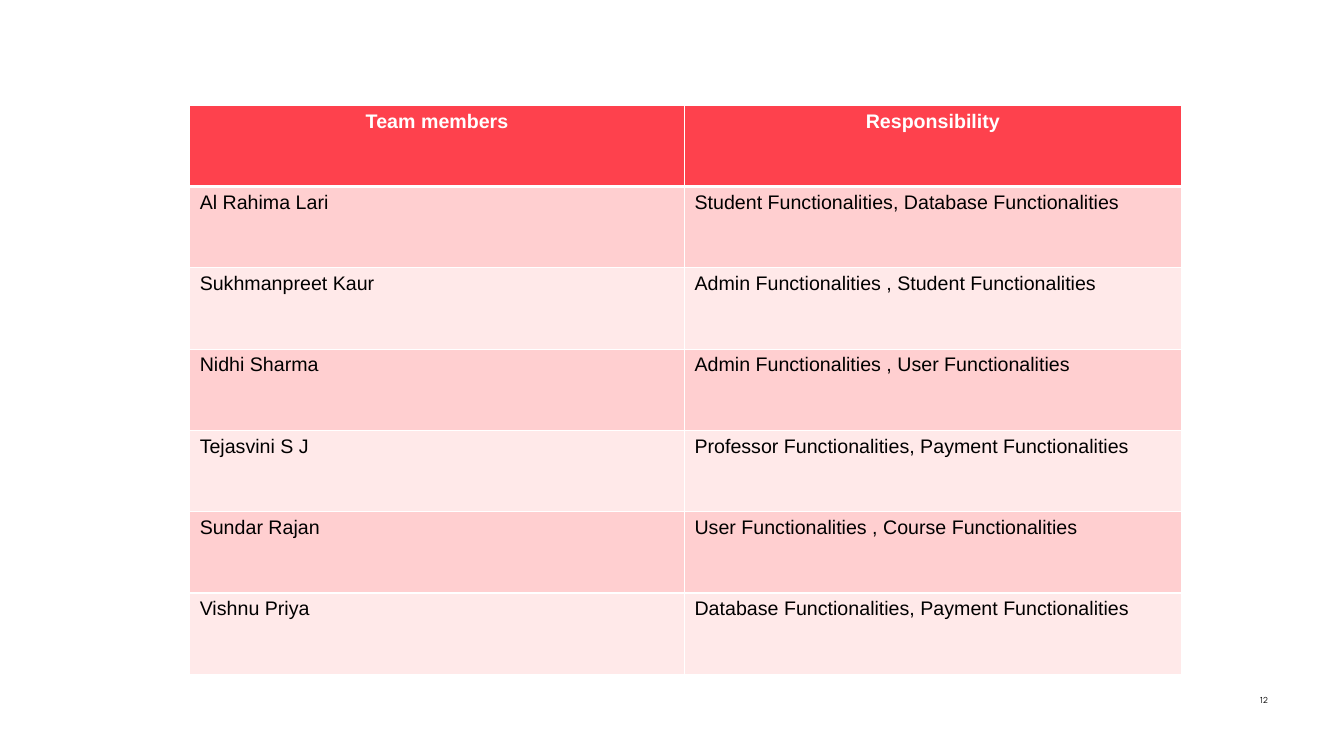
from dataclasses import dataclass

from lxml import etree
from pptx import Presentation
from pptx.dml.color import RGBColor
from pptx.enum.text import MSO_ANCHOR, PP_ALIGN
from pptx.oxml.ns import qn
from pptx.util import Cm, Pt

CENTER, LEFT, RIGHT = PP_ALIGN.CENTER, PP_ALIGN.LEFT, PP_ALIGN.RIGHT
MIDDLE = MSO_ANCHOR.MIDDLE
BLANK_LAYOUT = 6

WHITE, BLACK = "FFFFFF", "000000"
HEADER_RED = "FE414D"
BAND_FILLS = ("FFCFD0", "FFE9E9")
THIN, THICK = 1, 3

TABLE_LEFT, TABLE_TOP = Cm(4.78), Cm(2.65)
COLUMN_WIDTHS = (Cm(12.47), Cm(12.52))
ROW_HEIGHT = Cm(2.05)


@dataclass(frozen=True)
class Assignment:
    member: str
    responsibility: str


@dataclass(frozen=True)
class RowStyle:
    fill: str
    text_color: str
    bold: bool
    alignment: PP_ALIGN
    top_border: int = THIN
    bottom_border: int = THIN


HEADINGS = Assignment("Team members", "Responsibility")
ASSIGNMENTS = (
    Assignment("Al Rahima Lari", "Student Functionalities, Database Functionalities"),
    Assignment("Sukhmanpreet Kaur", "Admin Functionalities , Student Functionalities"),
    Assignment("Nidhi Sharma", "Admin Functionalities , User Functionalities"),
    Assignment("Tejasvini S J", "Professor Functionalities, Payment Functionalities"),
    Assignment("Sundar Rajan", "User Functionalities , Course Functionalities"),
    Assignment("Vishnu Priya", "Database Functionalities, Payment Functionalities"),
)


def rgb(color: str) -> RGBColor:
    return RGBColor.from_string(color)


def write_text(text_frame, text: str, alignment: PP_ALIGN, color: str, **font_format) -> None:
    paragraph = text_frame.paragraphs[0]
    paragraph.alignment = alignment
    run = paragraph.add_run()
    run.text = text
    run.font.color.rgb = rgb(color)
    for name, value in font_format.items():
        setattr(run.font, name, value)


def add_borders(cell, style: RowStyle) -> None:
    """Draw white cell borders; must run before the cell gets its fill."""
    properties = cell._tc.get_or_add_tcPr()
    widths = {"a:lnL": THIN, "a:lnR": THIN,
              "a:lnT": style.top_border, "a:lnB": style.bottom_border}
    for tag, width in widths.items():
        line = etree.SubElement(properties, qn(tag), w=str(Pt(width)))
        fill = etree.SubElement(line, qn("a:solidFill"))
        etree.SubElement(fill, qn("a:srgbClr"), val=WHITE)


def fill_row(cells, assignment: Assignment, style: RowStyle) -> None:
    for cell, text in zip(cells, (assignment.member, assignment.responsibility)):
        add_borders(cell, style)
        cell.fill.solid()
        cell.fill.fore_color.rgb = rgb(style.fill)
        write_text(cell.text_frame, text, style.alignment, style.text_color,
                   name="Arial", size=Pt(14), bold=style.bold)


def add_team_table(slide) -> None:
    row_count = len(ASSIGNMENTS) + 1
    table = slide.shapes.add_table(
        row_count, len(COLUMN_WIDTHS), TABLE_LEFT, TABLE_TOP,
        sum(COLUMN_WIDTHS), ROW_HEIGHT * row_count).table
    for column, width in zip(table.columns, COLUMN_WIDTHS):
        column.width = width
    header_style = RowStyle(HEADER_RED, WHITE, True, CENTER, bottom_border=THICK)
    fill_row(table.rows[0].cells, HEADINGS, header_style)
    for index, assignment in enumerate(ASSIGNMENTS):
        style = RowStyle(BAND_FILLS[index % 2], BLACK, False, LEFT,
                         top_border=THIN if index else THICK)
        fill_row(table.rows[index + 1].cells, assignment, style)


def add_page_number(slide, number: str) -> None:
    text_frame = slide.shapes.add_textbox(
        Cm(31.19), Cm(17.53), Cm(0.76), Cm(0.25)).text_frame
    frame_format = {"margin_left": 0, "margin_top": 0, "margin_right": 0,
                    "margin_bottom": 0, "vertical_anchor": MIDDLE, "word_wrap": True}
    for name, value in frame_format.items():
        setattr(text_frame, name, value)
    write_text(text_frame, number, RIGHT, BLACK, name="Manrope", size=Pt(6))


def main() -> None:
    presentation = Presentation()
    presentation.slide_width, presentation.slide_height = Cm(33.87), Cm(19.05)
    slide = presentation.slides.add_slide(presentation.slide_layouts[BLANK_LAYOUT])
    add_page_number(slide, "12")
    add_team_table(slide)
    presentation.save("out.pptx")


if __name__ == "__main__":
    main()
